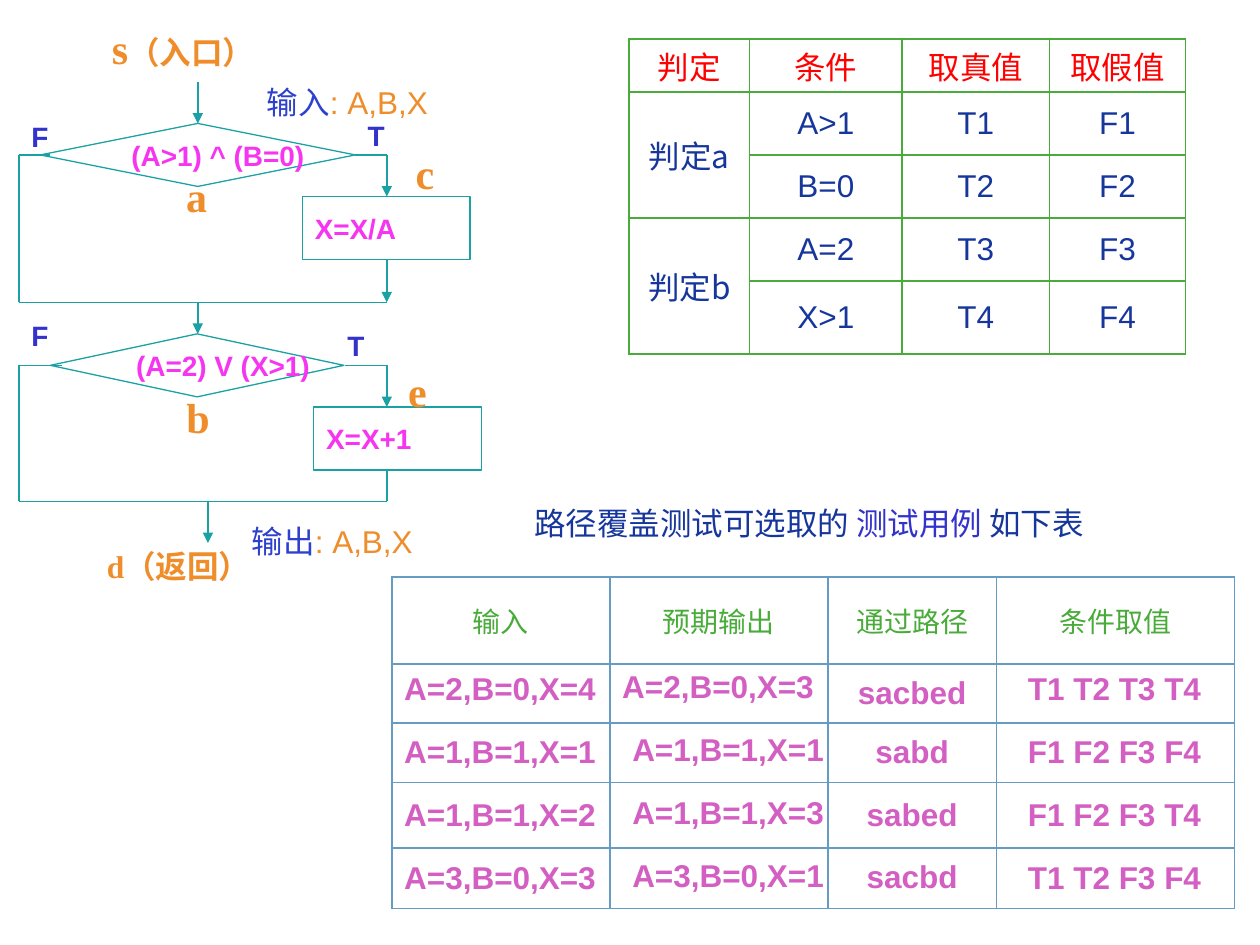
"""Build a slide on path coverage testing: flowchart, condition table and test cases."""
from dataclasses import dataclass
from typing import NamedTuple

from lxml.etree import SubElement
from pptx import Presentation
from pptx.dml.color import RGBColor
from pptx.enum.shapes import MSO_CONNECTOR as Connector, MSO_SHAPE as Preset
from pptx.enum.text import MSO_ANCHOR as Anchor, MSO_AUTO_SIZE as AutoSize, PP_ALIGN as Align
from pptx.oxml import parse_xml
from pptx.oxml.ns import nsdecls, qn
from pptx.util import Inches, Pt

COLORS = {
    "white": "FFFFFF", "teal": "1AA1A4", "orange": "EF8D2B", "magenta": "F535F0",
    "indigo": "3333CC", "royal": "2E41CE", "navy": "16369C", "red": "FF0000",
    "green": "49AB39", "steel": "669CC4", "orchid": "D35FC2",
}
CJK, SANS, SERIF = "Noto Sans CJK SC", "Arial", "Times New Roman"
WIDTH, HEIGHT = Inches(10), Inches(7.5)
COLUMNS, ROWS = 100, 75


class Area(NamedTuple):
    left: float
    top: float
    width: float
    height: float


class Wire(NamedTuple):
    start: tuple[float, float]
    end: tuple[float, float]
    arrow: bool = False


@dataclass
class Label:
    area: Area
    runs: list[tuple[str, dict]]
    anchor: Anchor = Anchor.TOP


@dataclass
class Node:
    preset: Preset
    area: Area
    text: str


@dataclass
class Grid:
    area: Area
    widths: list[float]
    heights: list[float]
    border: str


LETTER = dict(size=24, font=SERIF, color="orange", bold=True)
ENDPOINT = LETTER | dict(size=18)
BRANCH = dict(size=16, color="indigo", bold=True)
CASE = dict(color="orchid", bold=True)
HEADING = dict(font=CJK, color="navy")
IO_NAME = dict(font=CJK, color="royal")
IO_VALUES = (": A,B,X", dict(color="orange"))

LABELS = [
    Label(Area(13.8, 30.6, 3.9, 5), [("b", LETTER)]),
    Label(Area(13.8, 13, 3.7, 5.1), [("a", LETTER)]),
    Label(Area(7.9, 1.3, 15.3, 5.1), [("s", LETTER), ("（入口）", ENDPOINT)]),
    Label(Area(32, 11.2, 3.9, 5), [("c", LETTER)]),
    Label(Area(31.4, 28.5, 3.5, 5), [("e", LETTER)]),
    Label(Area(28.2, 8.9, 3.4, 3.7), [("T", BRANCH)]),
    Label(Area(1.5, 9, 3.4, 3.7), [("F", BRANCH)]),
    Label(Area(26.6, 25.6, 3.4, 3.7), [("T", BRANCH)]),
    Label(Area(1.5, 24.8, 3.4, 3.7), [("F", BRANCH)]),
    Label(Area(7.5, 42.9, 18, 4), [("d（返回）", ENDPOINT)]),
    Label(Area(19, 40.8, 16.9, 4.2), [("输出", IO_NAME), IO_VALUES], Anchor.MIDDLE),
    Label(Area(20.2, 6, 14.7, 4.2), [("输入", IO_NAME), IO_VALUES], Anchor.MIDDLE),
]
NODES = [
    Node(Preset.FLOWCHART_DECISION, Area(3.2, 9.8, 25, 5), "(A>1) ^ (B=0)"),
    Node(Preset.RECTANGLE, Area(24, 15.6, 13.3, 5), "X=X/A"),
    Node(Preset.FLOWCHART_DECISION, Area(4, 26.5, 23.3, 5), "(A=2) V (X>1)"),
    Node(Preset.RECTANGLE, Area(24.9, 32.3, 13.3, 5), "X=X+1"),
]
FALSE_X, CENTER_X, EXIT_X, TRUE_X = 1.5, 15.7, 16.5, 30.7
FIRST_Y, FIRST_JOIN, SECOND_Y, SECOND_JOIN = 12.3, 24, 29, 39.8
WIRES = [
    Wire((CENTER_X, 6.5), (CENTER_X, 9.8), True),
    Wire((FALSE_X, FIRST_Y), (4, FIRST_Y)),
    Wire((FALSE_X, FIRST_Y), (FALSE_X, FIRST_JOIN)),
    Wire((28.2, FIRST_Y), (TRUE_X, FIRST_Y)),
    Wire((TRUE_X, FIRST_Y), (TRUE_X, 15.6), True),
    Wire((TRUE_X, 20.6), (TRUE_X, FIRST_JOIN), True),
    Wire((FALSE_X, FIRST_JOIN), (TRUE_X, FIRST_JOIN)),
    Wire((CENTER_X, FIRST_JOIN), (CENTER_X, 26.5), True),
    Wire((FALSE_X, SECOND_Y), (4.9, SECOND_Y)),
    Wire((FALSE_X, SECOND_Y), (FALSE_X, SECOND_JOIN)),
    Wire((27.4, SECOND_Y), (TRUE_X, SECOND_Y)),
    Wire((TRUE_X, SECOND_Y), (TRUE_X, 32.3), True),
    Wire((TRUE_X, 37.3), (TRUE_X, SECOND_JOIN)),
    Wire((FALSE_X, SECOND_JOIN), (TRUE_X, SECOND_JOIN)),
    Wire((EXIT_X, SECOND_JOIN), (EXIT_X, 43.1), True),
]
CONDITION_GRID = Grid(Area(49.9, 3.1, 44.2, 25), [9.6, 12.1, 11.7, 10.8], [4.2, 5, 5, 5, 5.8], "green")
CASE_GRID = Grid(Area(31.1, 45.8, 66.9, 26.3), [17.3, 17.3, 13.4, 18.9], [6.9, 4.7, 4.7, 5.2, 4.8], "steel")
CONDITIONS = ["A>1", "B=0", "A=2", "X>1"]
CASES = [
    ("A=2,B=0,X=4", "A=2,B=0,X=3", "sacbed", "T1 T2 T3 T4"),
    ("A=1,B=1,X=1", "A=1,B=1,X=1", "sabd", "F1 F2 F3 F4"),
    ("A=1,B=1,X=2", "A=1,B=1,X=3", "sabed", "F1 F2 F3 T4"),
    ("A=3,B=0,X=3", "A=3,B=0,X=1", "sacbd", "T1 T2 F3 F4"),
]


def across(columns: float) -> int:
    return round(WIDTH * columns / COLUMNS)


def down(rows: float) -> int:
    return round(HEIGHT * rows / ROWS)


def place(area: Area) -> tuple[int, int, int, int]:
    return across(area.left), down(area.top), across(area.width), down(area.height)


def rgb(name: str) -> RGBColor:
    return RGBColor.from_string(COLORS[name])


def write(paragraph, text: str, *, size=18, font=SANS, color="navy", bold=False, align=Align.LEFT) -> None:
    paragraph.alignment = align
    run = paragraph.add_run()
    run.text = text
    run.font.size, run.font.bold, run.font.name = Pt(size), bold, font
    run.font.color.rgb = rgb(color)
    SubElement(run._r.get_or_add_rPr(), qn("a:ea"), typeface=CJK)


def set_frame(frame, anchor: Anchor) -> None:
    frame.auto_size, frame.word_wrap, frame.vertical_anchor = AutoSize.NONE, False, anchor


def draw_label(slide, label: Label):
    frame = slide.shapes.add_textbox(*place(label.area)).text_frame
    set_frame(frame, label.anchor)
    for text, style in label.runs:
        write(frame.paragraphs[0], text, **style)
    return frame.paragraphs[0]


def draw_node(slide, node: Node) -> None:
    shape = slide.shapes.add_shape(node.preset, *place(node.area))
    shape.shadow.inherit = False
    shape.fill.solid()
    shape.fill.fore_color.rgb = rgb("white")
    shape.line.color.rgb, shape.line.width = rgb("teal"), Pt(0.75)
    set_frame(shape.text_frame, Anchor.MIDDLE)
    write(shape.text_frame.paragraphs[0], node.text, size=16, color="magenta", bold=True)


def draw_wire(slide, wire: Wire) -> None:
    (x1, y1), (x2, y2) = wire.start, wire.end
    line = slide.shapes.add_connector(Connector.STRAIGHT, across(x1), down(y1), across(x2), down(y2))
    line.line.color.rgb, line.line.width = rgb("teal"), Pt(1)
    if wire.arrow:
        SubElement(line.line._get_or_add_ln(), qn("a:tailEnd"), type="triangle")
    SubElement(line._element.spPr, qn("a:effectLst"))


def draw_table(slide, grid: Grid):
    table = slide.shapes.add_table(len(grid.heights), len(grid.widths), *place(grid.area)).table
    for column, width in zip(table.columns, grid.widths):
        column.width = across(width)
    for row, height in zip(table.rows, grid.heights):
        row.height = down(height)
    for cell in table.iter_cells():
        cell.fill.solid()
        cell.fill.fore_color.rgb = rgb("white")
        cell.vertical_anchor = Anchor.MIDDLE
        cell.margin_top = cell.margin_bottom = Inches(0.02)
        for index, side in enumerate("LRTB"):
            cell._tc.get_or_add_tcPr().insert(index, parse_xml(
                f'<a:ln{side} {nsdecls("a")} w="12700"><a:solidFill>'
                f'<a:srgbClr val="{COLORS[grid.border]}"/></a:solidFill></a:ln{side}>'))
    return table


def fill_cell(table, row: int, column: int, text: str, **style) -> None:
    write(table.cell(row, column).text_frame.paragraphs[0], text, align=Align.CENTER, **style)


def draw_conditions(slide) -> None:
    table = draw_table(slide, CONDITION_GRID)
    for column, text in enumerate(["判定", "条件", "取真值", "取假值"]):
        fill_cell(table, 0, column, text, font=CJK, color="red")
    for row, name in ((1, "a"), (3, "b")):
        table.cell(row, 0).merge(table.cell(row + 1, 0))
        fill_cell(table, row, 0, f"判定{name}", font=CJK)
    for row, condition in enumerate(CONDITIONS, 1):
        for column, text in enumerate((condition, f"T{row}", f"F{row}"), 1):
            fill_cell(table, row, column, text)


def draw_cases(slide) -> None:
    table = draw_table(slide, CASE_GRID)
    for column, text in enumerate(["输入", "预期输出", "通过路径", "条件取值"]):
        fill_cell(table, 0, column, text, size=16, font=CJK, color="green")
    for row, (given, expected, route, values) in enumerate(CASES):
        fill_cell(table, row + 1, 2, route, **CASE)
        top = 53.3 + 5 * row
        expected_left = 49.2 if row else 48.4
        for left, offset, text in ((31.1, 0, given), (expected_left, -0.2, expected), (80.6, 0, values)):
            area = Area(left, top + offset, 16.7, 3.3)
            draw_label(slide, Label(area, [(text, CASE)], Anchor.MIDDLE)).line_spacing = 0.75


def main() -> None:
    presentation = Presentation()
    presentation.slide_width, presentation.slide_height = WIDTH, HEIGHT
    slide = presentation.slides.add_slide(presentation.slide_layouts[5])
    title = slide.shapes.title
    title.left, title.top, title.width, title.height = place(Area(41.4, 39, 51.7, 5))
    set_frame(title.text_frame, Anchor.MIDDLE)
    for text, color in (("路径覆盖测试可选取的 ", "navy"), ("测试用例 ", "indigo"), ("如下表", "navy")):
        write(title.text_frame.paragraphs[0], text, **HEADING | dict(color=color))
    draw_cases(slide)
    draw_conditions(slide)
    for node in NODES:
        draw_node(slide, node)
    for wire in WIRES:
        draw_wire(slide, wire)
    for label in LABELS:
        draw_label(slide, label)
    presentation.save("out.pptx")


if __name__ == "__main__":
    main()
